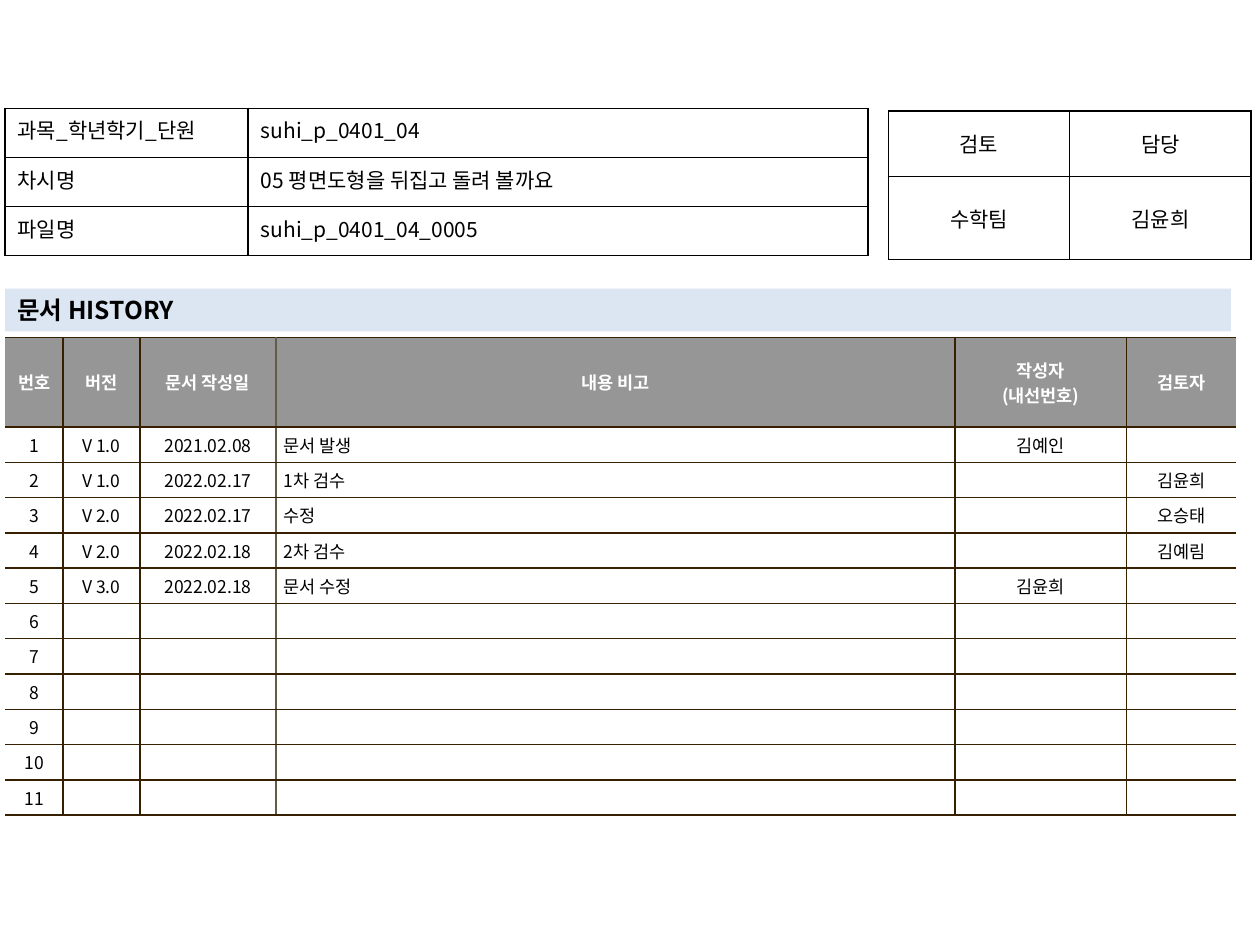
from lxml import etree
from pptx import Presentation, util as u
from pptx.dml.color import RGBColor
from pptx.enum import shapes, text
from pptx.oxml import ns

COLORS = {
    "black": "000000", "white": "FFFFFF", "header": "969696",
    "band": "DCE6F2", "brown": "362000", "taupe": "645B4C",
}
LEFT, CENTER, JUSTIFY = (
    text.PP_ALIGN.LEFT, text.PP_ALIGN.CENTER, text.PP_ALIGN.JUSTIFY)
TOP, MIDDLE = text.MSO_ANCHOR.TOP, text.MSO_ANCHOR.MIDDLE


def rgb(name):
    return RGBColor.from_string(COLORS[name])


class Deck:
    """Holds the text style and the slide being drawn."""
    font = "Noto Sans CJK KR"

    def __init__(self, slide):
        self.s = slide

    def style(self, tf, size, color="black", bold=False, align=LEFT, hang=0):
        """Format all text; empty paragraphs get the size too, to keep rows low."""
        for p in tf.paragraphs:
            p.alignment = align
            if hang:
                pPr = p._p.get_or_add_pPr()
                pPr.set("marL", str(u.Inches(hang)))
                pPr.set("indent", str(-u.Inches(hang)))
            for r in p.runs:
                r.font.size, r.font.bold, r.font.name = u.Pt(size), bold, self.font
                r.font.color.rgb = rgb(color)
                ea = etree.SubElement(r._r.get_or_add_rPr(), ns.qn("a:ea"))
                ea.set("typeface", self.font)
            if not p.runs:
                p._p.get_or_add_endParaRPr().set("sz", str(size * 100))

    def borders(self, cell, colors):
        """Draw 1 pt sides in the order left, right, top, bottom; None is no line."""
        tcPr = cell._tc.get_or_add_tcPr()
        for side, color in zip("LRTB", colors):
            ln = etree.SubElement(tcPr, ns.qn(f"a:ln{side}"), w=str(u.Pt(1)))
            if color:
                fill = etree.SubElement(ln, ns.qn("a:solidFill"))
                etree.SubElement(fill, ns.qn("a:srgbClr"), val=COLORS[color])
            else:
                etree.SubElement(ln, ns.qn("a:noFill"))

    def table(self, x, y, cols, rows, data, lines, look,
              row_line="black", anchor=MIDDLE, inset=(0.1, 0.05)):
        """lines are the column edge colours; look(row, col) gives fill and text style."""
        frame = self.s.shapes.add_table(
            len(rows), len(cols), u.Inches(x), u.Inches(y),
            u.Inches(sum(cols)), u.Inches(sum(rows)))
        tbl = frame.table
        tbl.first_row = tbl.horz_banding = False
        for col, width in zip(tbl.columns, cols):
            col.width = u.Inches(width)
        for row, height in zip(tbl.rows, rows):
            row.height = u.Inches(height)
        for i, values in enumerate(data):
            for j, value in enumerate(values):
                cell = tbl.cell(i, j)
                fill, style = look(i, j)
                cell.text_frame.text = value
                self.style(cell.text_frame, **style)
                cell.vertical_anchor = anchor
                cell.margin_left = cell.margin_right = u.Inches(inset[0])
                cell.margin_top = cell.margin_bottom = u.Inches(inset[1])
                self.borders(cell, (lines[j], lines[j + 1], row_line, row_line))
                if fill:
                    cell.fill.solid()
                    cell.fill.fore_color.rgb = rgb(fill)
                else:
                    cell.fill.background()

    def band(self, x, y, w, h, label):
        sp = self.s.shapes.add_shape(
            shapes.MSO_SHAPE.RECTANGLE, *map(u.Inches, (x, y, w, h)))
        sp.shadow.inherit = False
        sp.fill.solid()
        sp.fill.fore_color.rgb = rgb("band")
        sp.line.fill.background()
        tf = sp.text_frame
        tf.text = label
        tf.word_wrap = True
        tf.vertical_anchor = TOP
        tf.auto_size = text.MSO_AUTO_SIZE.SHAPE_TO_FIT_TEXT
        self.style(tf, 14, bold=True)


def history_look(i, j):
    if i == 0:
        return "header", dict(size=10, color="white", bold=True, align=CENTER)
    hang = {3: 0.19, 5: 0.09}.get(j, 0)
    return "white", dict(size=10, align=LEFT if j == 3 else CENTER, hang=hang)


def review_look(i, j):
    return None, dict(size=12, align=CENTER)


def document_look(i, j):
    return None, dict(size=12, align=LEFT if j else JUSTIFY)


HEADER = ["번호", "버전", "문서 작성일", "내용 비고", "작성자\n(내선번호)", "검토자"]
ENTRIES = [
    ["V 1.0", "2021.02.08", "문서 발생", "김예인", ""],
    ["V 1.0", "2022.02.17", "1차 검수", "", "김윤희"],
    ["V 2.0", "2022.02.17", "수정", "", "오승태"],
    ["V 2.0", "2022.02.18", "2차 검수", "", "김예림"],
    ["V 3.0", "2022.02.18", "문서 수정", "김윤희", ""],
]
ENTRY_ROWS = 11
REVIEW = [["검토", "담당"], ["수학팀", "김윤희"]]
DOCUMENT = [
    ["과목_학년학기_단원 ", "suhi_p_0401_04"],
    ["차시명", "05 평면도형을 뒤집고 돌려 볼까요"],
    ["파일명", "suhi_p_0401_04_0005"],
]


def main():
    prs = Presentation()
    prs.slide_width, prs.slide_height = u.Inches(10), u.Inches(7.5)
    deck = Deck(prs.slides.add_slide(prs.slide_layouts[6]))

    entries = ENTRIES + [[""] * 5] * (ENTRY_ROWS - len(ENTRIES))
    history = [HEADER] + [[str(n), *e] for n, e in enumerate(entries, 1)]
    deck.table(0.04, 2.68, [0.46, 0.61, 1.08, 5.39, 1.36, 0.87],
               [0.71] + [0.25] * ENTRY_ROWS, history,
               [None, "brown", "brown", "taupe", "brown", "brown", None],
               history_look, row_line="brown", inset=(0.06, 0.04))
    deck.table(7.05, 0.88, [1.44] * 2, [0.52, 0.66], REVIEW,
               ["black"] * 3, review_look)
    deck.band(0.04, 2.29, 9.73, 0.34, "문서 HISTORY")
    deck.table(0.04, 0.86, [1.93, 4.92], [0.39] * 3, DOCUMENT,
               ["black"] * 3, document_look, anchor=TOP)
    prs.save("out.pptx")


if __name__ == "__main__":
    main()
